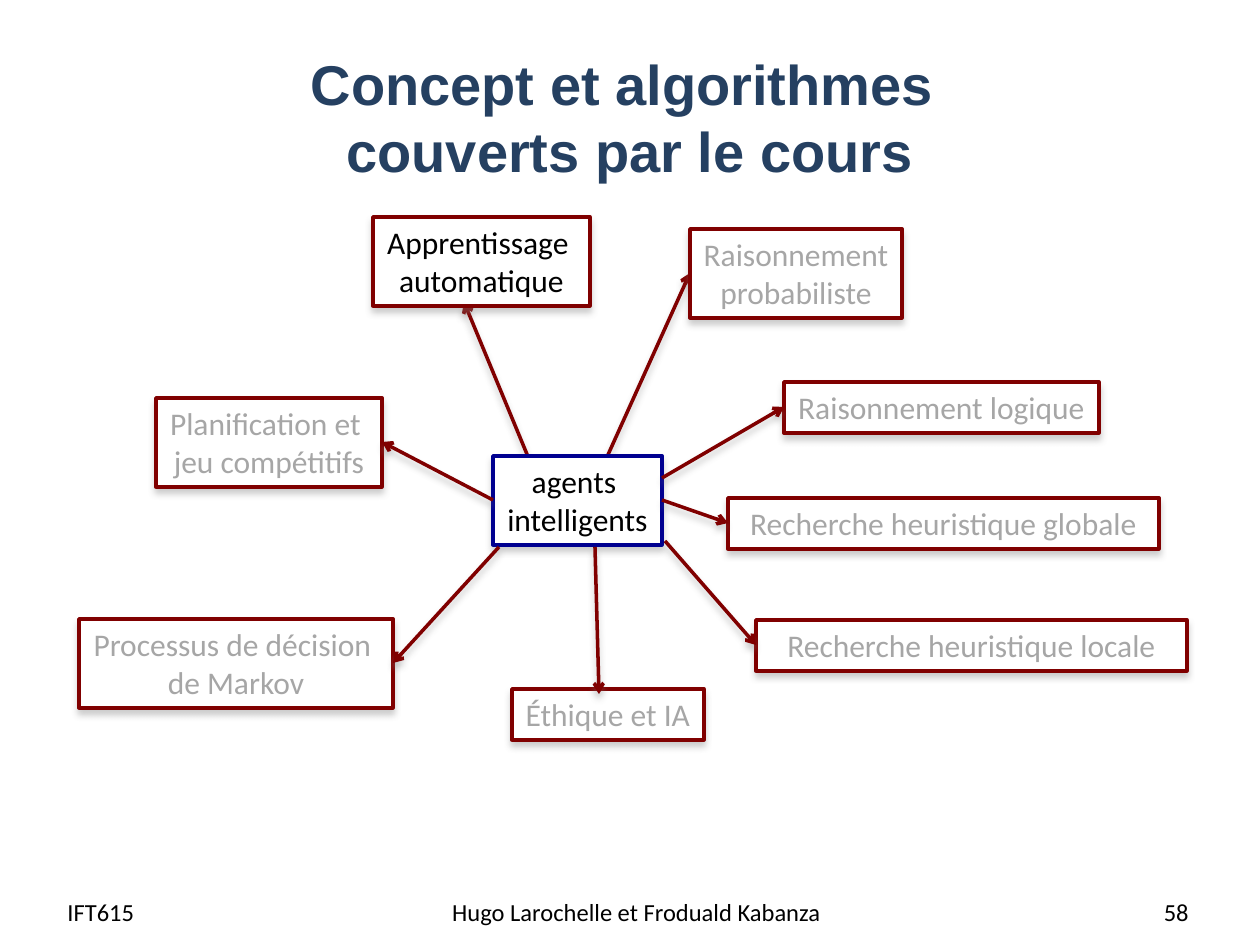
import pptx
import pptx.util
import pptx.dml.color
import pptx.enum.shapes
import pptx.enum.text
import pptx.oxml

EMU_PER_PX = 914400 / 126
COLOURS = {
    "title": "254061",
    "text": "000000",
    "muted": "A6A6A6",
    "topic": "800000",
    "centre": "000090",
    "paper": "FFFFFF",
    "shadow": "808080",
}
DRAWING = 'xmlns:a="http://schemas.openxmlformats.org/drawingml/2006/main"'
ALIGN = pptx.enum.text.PP_ALIGN


class ConceptMap:
    """Style and current slide, with one method for each kind of element."""

    def __init__(self, slide):
        self.slide = slide

    def px(self, *lengths):
        return [round(length * EMU_PER_PX) for length in lengths]

    def rgb(self, name):
        return pptx.dml.color.RGBColor.from_string(COLOURS[name])

    def fill_text(self, shape, lines, size, colour, align, font="Calibri", bold=False):
        shape.text_frame.text = "\n".join(lines)
        font_format = {"name": font, "size": pptx.util.Pt(size), "bold": bold}
        for paragraph in shape.text_frame.paragraphs:
            paragraph.alignment = align
            for run in paragraph.runs:
                for key, value in font_format.items():
                    setattr(run.font, key, value)
                run.font.color.rgb = self.rgb(colour)

    def outline(self, shape, colour):
        shape.line.color.rgb = self.rgb(colour)
        shape.line.width = pptx.util.Pt(2)

    def add_shadow(self, shape):
        shape._element.spPr.append(pptx.oxml.parse_xml(
            f'<a:effectLst {DRAWING}>'
            '<a:outerShdw blurRad="50800" dist="38100" dir="5400000" rotWithShape="0">'
            f'<a:srgbClr val="{COLOURS["shadow"]}"><a:alpha val="40000"/></a:srgbClr>'
            '</a:outerShdw></a:effectLst>'))

    def label(self, place, text, size, colour, align, **style):
        shape = self.slide.shapes.add_textbox(*self.px(*place))
        shape.text_frame.word_wrap = True
        shape.text_frame.vertical_anchor = pptx.enum.text.MSO_ANCHOR.MIDDLE
        self.fill_text(shape, [text], size, colour, align, **style)

    def box(self, place, lines, colour="muted", border="topic", wrap=False):
        shape = self.slide.shapes.add_shape(
            pptx.enum.shapes.MSO_SHAPE.RECTANGLE, *self.px(*place))
        shape.fill.solid()
        shape.fill.fore_color.rgb = self.rgb("paper")
        self.outline(shape, border)
        self.add_shadow(shape)
        frame_format = {
            "word_wrap": wrap,
            "auto_size": pptx.enum.text.MSO_AUTO_SIZE.SHAPE_TO_FIT_TEXT,
            "vertical_anchor": pptx.enum.text.MSO_ANCHOR.TOP,
        }
        for key, value in frame_format.items():
            setattr(shape.text_frame, key, value)
        self.fill_text(shape, lines, 18, colour, ALIGN.CENTER)

    def arrow(self, *ends):
        connector = self.slide.shapes.add_connector(
            pptx.enum.shapes.MSO_CONNECTOR.STRAIGHT, *self.px(*ends))
        self.outline(connector, "topic")
        connector._element.spPr.ln.append(
            pptx.oxml.parse_xml(f'<a:tailEnd {DRAWING} type="arrow"/>'))
        self.add_shadow(connector)


def main():
    presentation = pptx.Presentation()
    presentation.slide_width = pptx.util.Inches(10)
    presentation.slide_height = pptx.util.Inches(7.5)
    slide = presentation.slides.add_slide(presentation.slide_layouts[6])
    concept_map = ConceptMap(slide)

    # Title
    concept_map.label((63, 38, 1134, 157), "Concept et algorithmes \vcouverts par le cours",
                      32, "title", ALIGN.CENTER, font="Arial", bold=True)

    # Footer
    for left, width, text, align in [
        (55, 243, "IFT615", ALIGN.LEFT),
        (437, 399, "Hugo Larochelle et Froduald Kabanza", ALIGN.CENTER),
        (907, 294, "58", ALIGN.RIGHT),
    ]:
        concept_map.label((left, 887, width, 50), text, 14, "text", align)

    # Arrows that run behind the boxes
    concept_map.arrow(607, 457, 690, 273)
    concept_map.arrow(529, 459, 464, 302)

    # Centre and current topic
    concept_map.box((493, 456, 169, 89), ["agents ", "intelligents"], "text", "centre")
    concept_map.box((373, 217, 217, 89), ["Apprentissage ", "automatique"], "text")

    # Other topics
    for place, lines in [
        ((784, 382, 315, 51), ["Raisonnement logique"]),
        ((79, 619, 314, 89), ["Processus de décision ", "de Markov"]),
        ((156, 398, 226, 89), ["Planification et ", "jeu compétitifs"]),
        ((512, 689, 192, 51), ["Éthique et IA"]),
        ((690, 229, 212, 89), ["Raisonnement", "probabiliste"]),
    ]:
        concept_map.box(place, lines)
    for left, top, scope in [(756, 620, "locale"), (728, 498, "globale")]:
        concept_map.box((left, top, 431, 51), [f"Recherche heuristique {scope}"], wrap=True)

    # Arrows in front of the boxes
    for ends in [
        (662, 500, 728, 523),
        (665, 541, 756, 645),
        (595, 547, 599, 694),
        (493, 500, 382, 442),
        (499, 547, 393, 663),
        (662, 478, 784, 407),
    ]:
        concept_map.arrow(*ends)

    presentation.save("out.pptx")


if __name__ == "__main__":
    main()
